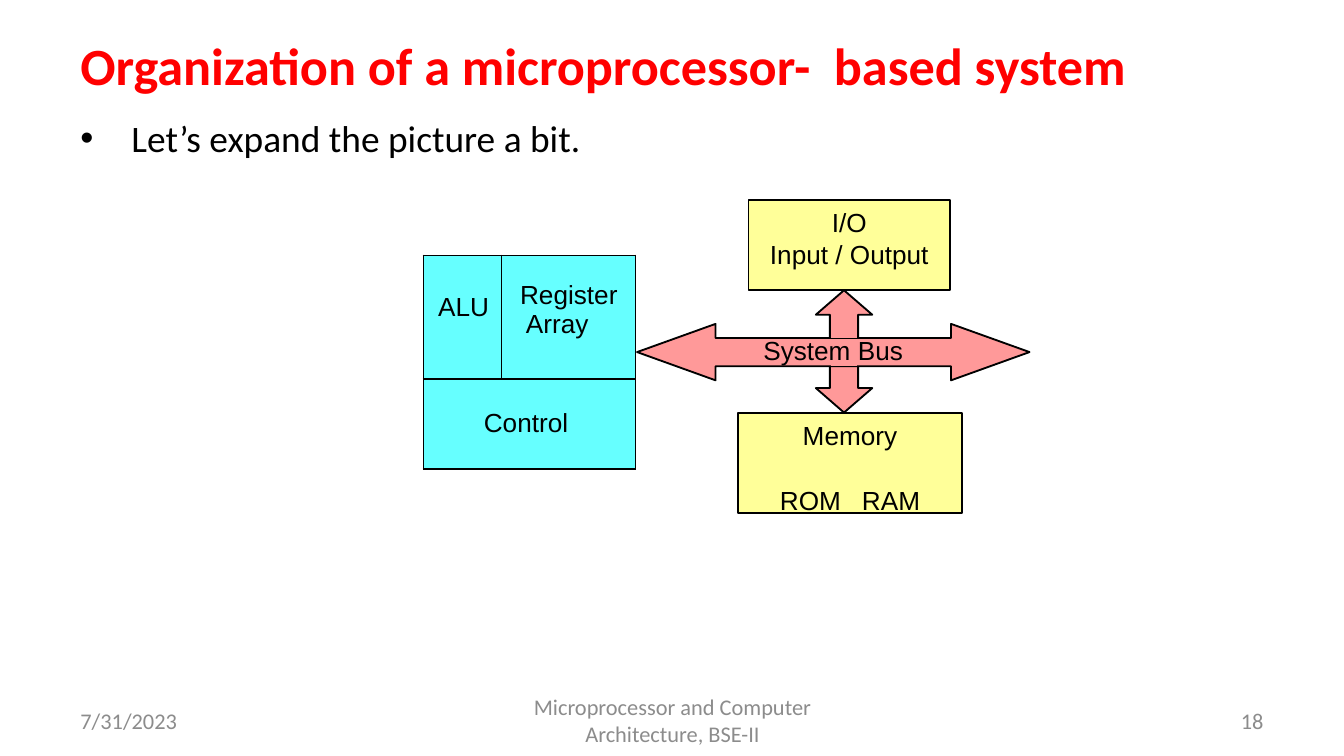
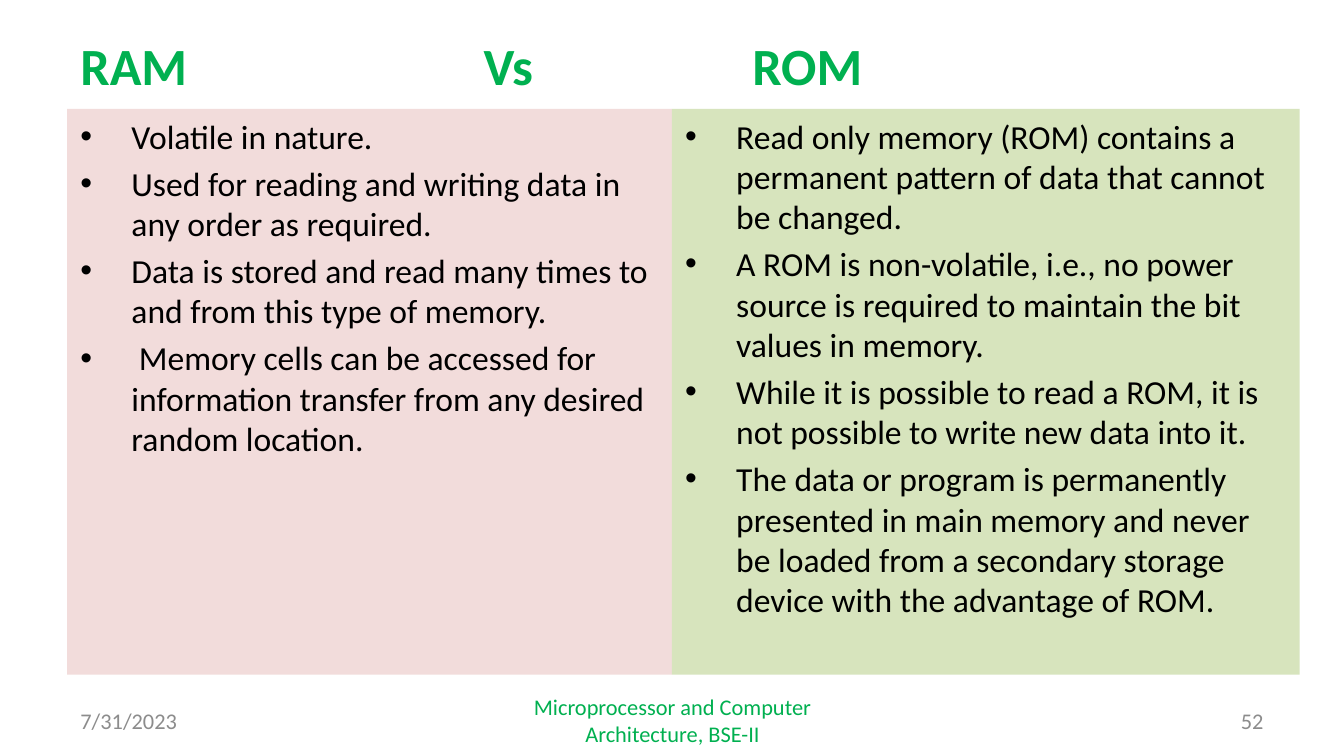
"""Build two slides on microprocessor organization and on RAM versus ROM."""
from lxml.etree import SubElement
from pptx import Presentation
from pptx.dml.color import RGBColor
from pptx.enum.shapes import MSO_CONNECTOR as Link, MSO_SHAPE as Shape
from pptx.enum.text import MSO_ANCHOR as Anchor, PP_ALIGN as Align
from pptx.oxml.ns import qn
from pptx.util import Inches, Pt

color = RGBColor.from_string
BLACK, GRAY, RED, GREEN = "000000", "8C8C8C", "FF0000", "00B050"
YELLOW, PINK, CYAN = "FFFF99", "FF9999", "66FFFF"
ROSE, OLIVE = "F2DCDB", "D7E4BD"


def cells(*counts):
    """Turn counts of grid cells, 100 across the slide, into lengths."""
    return [Inches(count / 10) for count in counts]


def write(frame, text, size, hue, font="Calibri", bold=False,
          align=Align.LEFT, gap=0, bullet=False, tabs=()):
    """Fill a text frame and format its paragraphs and runs."""
    frame.text = text
    for index, paragraph in enumerate(frame.paragraphs):
        props = paragraph._p.get_or_add_pPr()
        if bullet:
            hang = Inches(0.38)
            props.set("marL", str(hang))
            props.set("indent", str(-hang))
            SubElement(props, qn("a:buFont"), typeface="Arial")
            SubElement(props, qn("a:buChar"), char="•")
        if tabs:
            stops = SubElement(props, qn("a:tabLst"))
            for stop in cells(*tabs):
                SubElement(stops, qn("a:tab"), pos=str(stop), algn="l")
        paragraph.alignment = align
        if index and gap:
            paragraph.space_before = Pt(gap)
        for run in paragraph.runs:
            run.font.name, run.font.size, run.font.bold = font, Pt(size), bold
            run.font.color.rgb = color(hue)


deck = Presentation()
deck.slide_width, deck.slide_height = cells(100, 56.25)

ram_facts = [
    "Volatile in nature.",
    "Used for reading and writing data in any order as required.",
    "Data is stored and read many times to and from this type of memory.",
    " Memory cells can be accessed for information transfer from any desired random location.",
]
rom_facts = [
    "Read only memory (ROM) contains a permanent pattern of data that cannot be changed.",
    "A ROM is non-volatile, i.e., no power source is required to maintain the bit values in memory.",
    "While it is possible to read a ROM, it is not possible to write new data into it.",
    "The data or program is permanently presented in main memory and never be loaded from a secondary storage device with the advantage of ROM.",
]
pages = [
    ("Organization of a microprocessor-  based system", RED, (), "18", GRAY, 20,
     [(5, 90, None, ["Let’s expand the picture a bit."])]),
    ("RAM\tVs\tROM", GREEN, (30, 50), "52", GREEN, 18,
     [(5, 45, ROSE, ram_facts), (50, 46.7, OLIVE, rom_facts)]),
]

for title, title_hue, title_tabs, number, course_hue, body_size, panels in pages:
    slide = deck.slides.add_slide(deck.slide_layouts[6])
    for left, width, fill, facts in panels:
        panel = slide.shapes.add_textbox(*cells(left, 8.1, width, 42.1))
        panel.text_frame.word_wrap = True
        if fill:
            panel.fill.solid()
            panel.fill.fore_color.rgb = color(fill)
        write(panel.text_frame, "\n".join(facts), body_size, BLACK,
              gap=body_size * 0.2, bullet=True)
    for box, text, size, hue, bold, align, tabs in [
        ((5, 2.3, 90, 5), title, 28, title_hue, True, Align.LEFT, title_tabs),
        ((5, 52.1, 23.3, 3), "7/31/2023", 12, GRAY, False, Align.LEFT, ()),
        ((34.2, 52.1, 31.7, 3), "Microprocessor and Computer Architecture, BSE-II",
         12, course_hue, False, Align.CENTER, ()),
        ((71.7, 52.1, 23.3, 3), number, 12, GRAY, False, Align.RIGHT, ()),
    ]:
        label = slide.shapes.add_textbox(*cells(*box)).text_frame
        label.word_wrap, label.vertical_anchor = True, Anchor.MIDDLE
        write(label, text, size, hue, bold=bold, align=align, tabs=tabs)

diagram = deck.slides[0].shapes
arrow = [(0, 0.5), (0.2, 0), (0.2, 0.25), (0.8, 0.25), (0.8, 0),
         (1, 0.5), (0.8, 1), (0.8, 0.75), (0.2, 0.75), (0.2, 1)]
upright_arrow = [(across, along) for along, across in arrow]
for box, fill, outline, text, tabs in [
    ((55.7, 14.9, 15, 6.7), YELLOW, None, "I/O\vInput / Output", ()),
    ((60.7, 21.6, 4.2, 9.1), PINK, upright_arrow, "", ()),
    ((54.9, 30.7, 16.7, 7.5), YELLOW, None, "Memory\nROM\tRAM", (6.1,)),
    ((47.4, 24.1, 29.2, 4.2), PINK, arrow, "", ()),
]:
    left, top, width, height = cells(*box)
    if outline:
        corners = [(left + width * x, top + height * y) for x, y in outline]
        builder = diagram.build_freeform(*corners[0])
        builder.add_line_segments(corners[1:], close=True)
        part = builder.convert_to_shape()
    else:
        part = diagram.add_shape(Shape.RECTANGLE, left, top, width, height)
    part.shadow.inherit = False
    part.fill.solid()
    part.fill.fore_color.rgb = color(fill)
    part.line.color.rgb, part.line.width = color(BLACK), Pt(1)
    if text:
        frame = part.text_frame
        frame.word_wrap, frame.vertical_anchor = True, Anchor.TOP
        frame.margin_left, frame.margin_top, frame.margin_right, frame.margin_bottom = cells(0, 0.5, 0, 0)
        write(frame, text, 14, BLACK, "Arial", align=Align.CENTER, gap=18, tabs=tabs)

bus = diagram.add_textbox(*cells(56.7, 24.8, 10.6, 2.6)).text_frame
bus.word_wrap = True
bus.margin_left, bus.margin_top, bus.margin_right, bus.margin_bottom = cells(0.1, 0.1, 0, 0)
write(bus, "System Bus", 14, BLACK, "Arial")

processor = diagram.add_table(2, 2, *cells(31.5, 19, 15.8, 15.9)).table
processor.first_row = processor.horz_banding = False
for column, width in zip(processor.columns, cells(5.8, 10)):
    column.width = width
for row, height in zip(processor.rows, cells(9.2, 6.7)):
    row.height = height
processor.cell(1, 0).merge(processor.cell(1, 1))
for cell in processor.iter_cells():
    for side in ("lnL", "lnR", "lnT", "lnB"):
        border = SubElement(cell._tc.get_or_add_tcPr(), qn(f"a:{side}"), w=str(Pt(1)))
        SubElement(SubElement(border, qn("a:solidFill")), qn("a:srgbClr"), val=BLACK)
    cell.fill.solid()
    cell.fill.fore_color.rgb = color(CYAN)
for row, column, unit, left, top in [
    (0, 0, "ALU", 1.1, 2.8),
    (0, 1, "Register\v Array", 1.4, 1.9),
    (1, 0, "Control", 4.5, 2.2),
]:
    cell = processor.cell(row, column)
    cell.margin_left, cell.margin_top, cell.margin_right, cell.margin_bottom = cells(left, top, 0, 0)
    write(cell.text_frame, unit, 14, BLACK, "Arial")

for level in (25.1, 27.2):
    seam = diagram.add_connector(Link.STRAIGHT, *cells(61.8, level, 63.8, level))
    seam.line.color.rgb, seam.line.width = color(PINK), Pt(1)
    SubElement(seam._element.spPr, qn("a:effectLst"))

deck.save("out.pptx")
